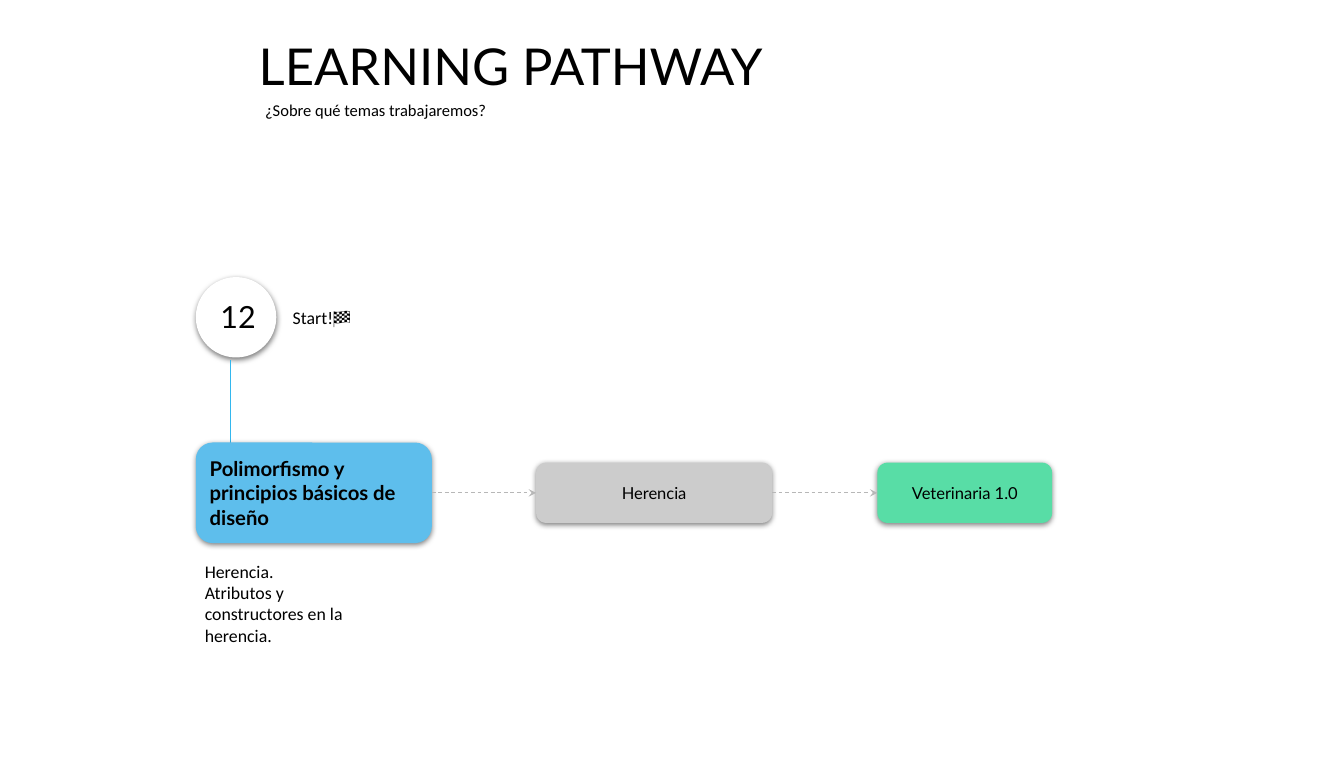
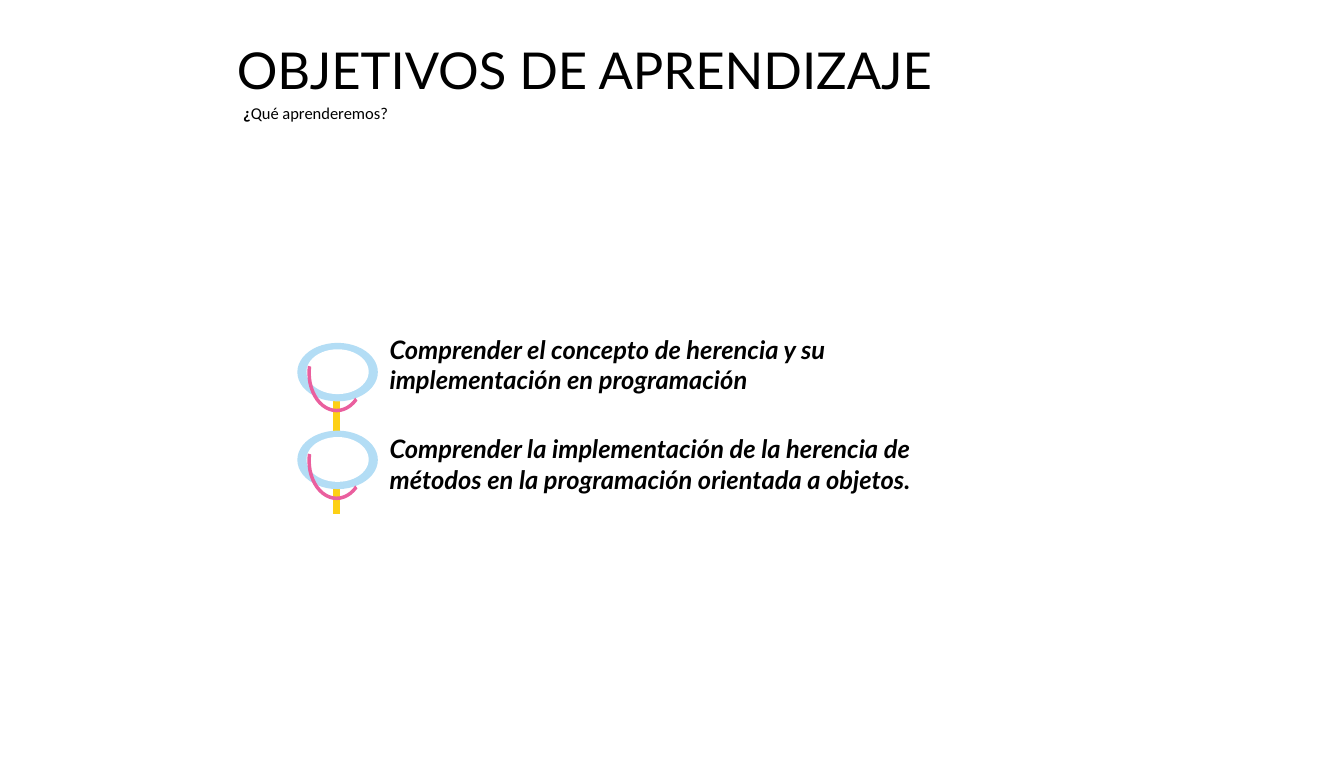
from lxml import etree
from pptx import Presentation
from pptx.dml.color import RGBColor
from pptx.enum.dml import MSO_LINE
from pptx.enum.shapes import MSO_CONNECTOR, MSO_SHAPE
from pptx.enum.text import MSO_ANCHOR, PP_ALIGN
from pptx.oxml.ns import qn
from pptx.util import Pt

PX = 9144
BLACK = RGBColor(0x00, 0x00, 0x00)
WHITE = RGBColor(0xFF, 0xFF, 0xFF)
SKY = RGBColor(0x5E, 0xBE, 0xEC)
GRAY = RGBColor(0xCC, 0xCC, 0xCC)
GREEN = RGBColor(0x58, 0xDD, 0xA6)
STEM_BLUE = RGBColor(0x33, 0xB7, 0xEE)
ARROW_GRAY = RGBColor(0xB7, 0xB7, 0xB7)
YELLOW = RGBColor(0xFD, 0xD0, 0x15)
PALE_BLUE = RGBColor(0xB3, 0xDD, 0xF5)
PINK = RGBColor(0xEA, 0x5F, 0x9E)

ROUNDED = MSO_SHAPE.ROUNDED_RECTANGLE
OVAL = MSO_SHAPE.OVAL
ARC = MSO_SHAPE.BLOCK_ARC
STRAIGHT = MSO_CONNECTOR.STRAIGHT
ELBOW = MSO_CONNECTOR.ELBOW
DASH = MSO_LINE.DASH
TOP, MIDDLE = MSO_ANCHOR.TOP, MSO_ANCHOR.MIDDLE
LEFT, CENTER = PP_ALIGN.LEFT, PP_ALIGN.CENTER
LEFT_SITE, RIGHT_SITE = 1, 3
TITLE_FONT, BODY_FONT = "Lato", "Calibri"


def px(*lengths):
    return [length * PX for length in lengths]


def write(shape, lines, size, font, bold=False, italic=False, align=LEFT, anchor=TOP):
    frame = shape.text_frame
    frame.word_wrap = True
    frame.vertical_anchor = anchor
    frame.margin_left = frame.margin_right = 10 * PX
    frame.margin_top = frame.margin_bottom = 10 * PX
    for index, line in enumerate(lines):
        paragraph = frame.add_paragraph() if index else frame.paragraphs[0]
        paragraph.text = line
        paragraph.alignment = align
        paragraph.font.name = font
        paragraph.font.size = Pt(size)
        paragraph.font.bold = bold
        paragraph.font.italic = italic
        paragraph.font.color.rgb = BLACK
    return frame


def add_text(slide, box, lines, size, font, **style):
    return write(slide.shapes.add_textbox(*px(*box)), lines, size, font, **style)


def add_filled(slide, kind, box, color):
    shape = slide.shapes.add_shape(kind, *px(*box))
    shape.fill.solid()
    shape.fill.fore_color.rgb = color
    shape.line.fill.background()
    shape.shadow.inherit = False
    return shape


def raise_shape(shape):
    effects = shape.element.spPr.find(qn("a:effectLst"))
    shadow = etree.SubElement(effects, qn("a:outerShdw"), blurRad="57150",
                              dist="19050", dir="5400000", algn="bl", rotWithShape="0")
    color = etree.SubElement(shadow, qn("a:srgbClr"), val="000000")
    etree.SubElement(color, qn("a:alpha"), val="50000")


def add_line(slide, kind, start, end, color, width):
    line = slide.shapes.add_connector(kind, *px(*start, *end))
    line.line.color.rgb = color
    line.line.width = Pt(width)
    etree.SubElement(line.element.spPr, qn("a:effectLst"))
    return line


def add_header(slide, left, top, title, question):
    add_text(slide, (left, top, 857, 88), [title], 40, TITLE_FONT)
    return add_text(slide, (left + 7, top + 71, 420, 42), [question], 13, BODY_FONT)


def add_topic(slide, box, label, color, size, **style):
    topic = add_filled(slide, ROUNDED, box, color)
    raise_shape(topic)
    write(topic, [label], size, TITLE_FONT, anchor=MIDDLE, **style)
    return topic


def add_arrow(slide, source, target):
    arrow = add_line(slide, ELBOW, (0, 0), (0, 0), ARROW_GRAY, 0.75)
    arrow.begin_connect(source, RIGHT_SITE)
    arrow.end_connect(target, LEFT_SITE)
    arrow.line.dash_style = DASH
    etree.SubElement(arrow.line._get_or_add_ln(), qn("a:tailEnd"), type="stealth")


def add_start(slide, left, top):
    disc = add_filled(slide, OVAL, (left, top, 88, 88), WHITE)
    raise_shape(disc)
    add_text(slide, (left + 17, top + 13, 71, 61), ["12"], 24, TITLE_FONT)
    add_text(slide, (left + 96, top + 22, 112, 44), ["Start!🏁"], 14, BODY_FONT)
    add_line(slide, STRAIGHT, (left + 38, top + 91), (left + 38, top + 181), STEM_BLUE, 0.75)


def add_path(slide, left, middle):
    main = add_topic(slide, (left, middle - 55, 258, 110),
                     "Polimorfismo y principios básicos de diseño", SKY, 16, bold=True)
    steps = [main]
    for offset, width, label, color in ((372, 258, "Herencia", GRAY),
                                        (745, 191, "Veterinaria 1.0", GREEN)):
        steps.append(add_topic(slide, (left + offset, middle - 33, width, 66),
                               label, color, 13, align=CENTER))
    for source, target in zip(steps, steps[1:]):
        add_arrow(slide, source, target)
    add_text(slide, (left, middle + 64, 183, 114),
             ["Herencia.", "Atributos y constructores en la herencia."], 14, BODY_FONT)


def add_ring(slide, left, top):
    add_filled(slide, OVAL, (left, top, 88, 64), PALE_BLUE)
    add_filled(slide, OVAL, (left + 10, top + 7, 68, 49), WHITE)
    arc = add_filled(slide, ARC, (left + 11, top - 10, 64, 86), PINK)
    for index, value in enumerate((53 * 0.6, 194 * 0.6, 0.06)):
        arc.adjustments[index] = value


def add_goals(slide, left, top):
    goals = ((0, "Comprender el concepto de herencia y su implementación en programación"),
             (109, "Comprender la implementación de la herencia de métodos en la "
                   "programación orientada a objetos."))
    add_line(slide, STRAIGHT, (left + 43, top + 53), (left + 43, top + 207), YELLOW, 6)
    for index, (offset, goal) in enumerate(goals):
        add_ring(slide, left, top + 20 + 96 * index)
        add_text(slide, (left + 91, top + offset, 621, 88), [goal], 20, TITLE_FONT,
                 bold=True, italic=True)


def build_pathway(slide):
    add_header(slide, 273, 28, "LEARNING PATHWAY", "¿Sobre qué temas trabajaremos?")
    add_start(slide, 214, 303)
    add_path(slide, 214, 539)


def build_objectives(slide):
    question = add_header(slide, 249, 32, "OBJETIVOS DE APRENDIZAJE", "¿").paragraphs[0]
    question.runs[0].font.bold = True
    question.add_run().text = "Qué aprenderemos?"
    add_goals(slide, 325, 355)


def main():
    deck = Presentation()
    deck.slide_width, deck.slide_height = px(1469, 829)
    for build in (build_pathway, build_objectives):
        build(deck.slides.add_slide(deck.slide_layouts[6]))
    deck.save("out.pptx")


if __name__ == "__main__":
    main()
